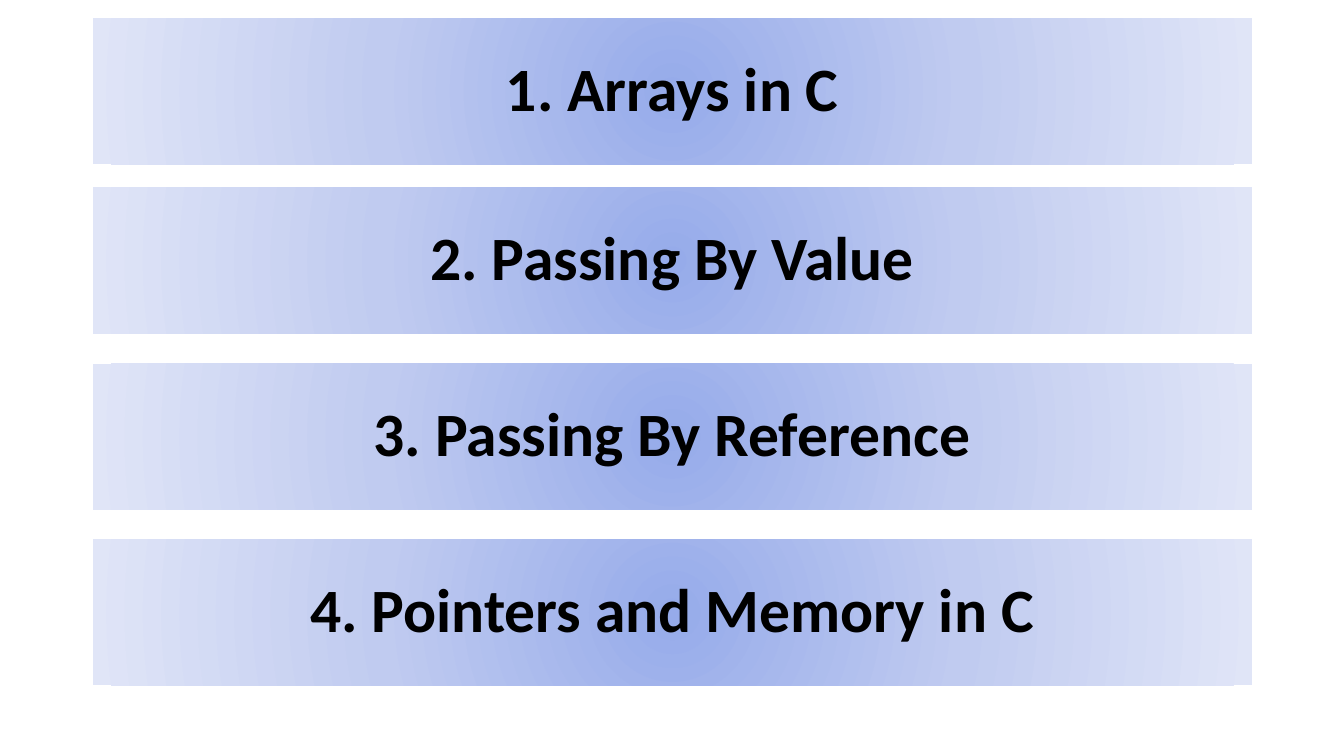
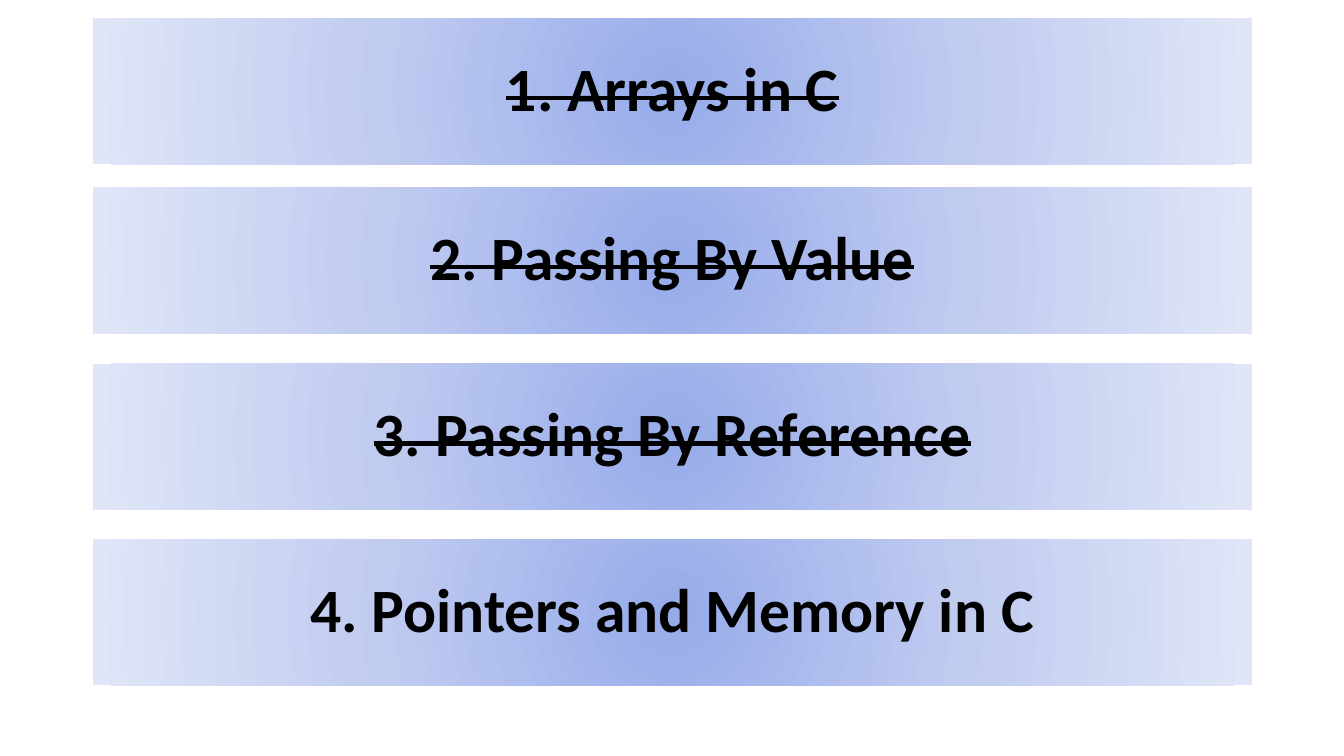
import pptx
import pptx.dml.color
import pptx.enum.text
import pptx.oxml
import pptx.oxml.ns
import pptx.util

Inches = pptx.util.Inches

TOPICS = [
    "1. Arrays in C",
    "2. Passing By Value",
    "3. Passing By Reference",
    "4. Pointers and Memory in C",
]
FINISHED_COUNTS = [0, 3]

COLOURS = {"centre": "96ABEA", "middle": "C0CBF0", "edge": "E0E5F7", "text": "000000"}
GRADIENT_STOPS = [(0, "centre"), (50, "middle"), (100, "edge")]
BAND_LEFT, BAND_WIDTH, BAND_HEIGHT = 0.92, 11.5, 1.45
BAND_TOPS = [0.18, 1.86, 3.61, 5.35]

FRAME_FORMAT = {
    "word_wrap": True,
    "auto_size": pptx.enum.text.MSO_AUTO_SIZE.NONE,
    "vertical_anchor": pptx.enum.text.MSO_ANCHOR.MIDDLE,
}
PARAGRAPH_FORMAT = {
    "alignment": pptx.enum.text.PP_ALIGN.CENTER,
    "line_spacing": 0.9,
    "space_before": pptx.util.Pt(0),
}
FONT_FORMAT = {"name": "Calibri", "size": pptx.util.Pt(44), "bold": True}


def apply_format(target, values):
    for name, value in values.items():
        setattr(target, name, value)


def fill_radial(shape):
    stops = "".join(
        f'<a:gs pos="{percent * 1000}"><a:srgbClr val="{COLOURS[name]}"/></a:gs>'
        for percent, name in GRADIENT_STOPS
    )
    radial = pptx.oxml.parse_xml(
        f'<a:gradFill {pptx.oxml.ns.nsdecls("a")} rotWithShape="1">'
        f'<a:gsLst>{stops}</a:gsLst><a:path path="circle">'
        '<a:fillToRect l="50000" t="50000" r="50000" b="50000"/>'
        '</a:path></a:gradFill>'
    )
    shape.fill.gradient()
    properties = shape._element.spPr
    properties.replace(properties.find(pptx.oxml.ns.qn("a:gradFill")), radial)


def write_topic(shape, topic, finished):
    frame = shape.text_frame
    apply_format(frame, FRAME_FORMAT)
    para = frame.paragraphs[0]
    apply_format(para, PARAGRAPH_FORMAT)
    span = para.add_run()
    span.text = topic
    apply_format(span.font, FONT_FORMAT)
    span.font.color.rgb = pptx.dml.color.RGBColor.from_string(COLOURS["text"])
    if finished:
        span._r.get_or_add_rPr().set("strike", "sngStrike")


def add_agenda(deck, finished_count):
    page = deck.slides.add_slide(deck.slide_layouts[5])
    for index, (topic, top) in enumerate(zip(TOPICS, BAND_TOPS)):
        place = {
            "left": Inches(BAND_LEFT),
            "top": Inches(top),
            "width": Inches(BAND_WIDTH),
            "height": Inches(BAND_HEIGHT),
        }
        if index == 0:
            band = page.shapes.title
            apply_format(band, place)
        else:
            band = page.shapes.add_textbox(**place)
        fill_radial(band)
        write_topic(band, topic, index < finished_count)


def main():
    deck = pptx.Presentation()
    deck.slide_width, deck.slide_height = Inches(13.33), Inches(7.5)
    for finished_count in FINISHED_COUNTS:
        add_agenda(deck, finished_count)
    deck.save("out.pptx")


if __name__ == "__main__":
    main()
